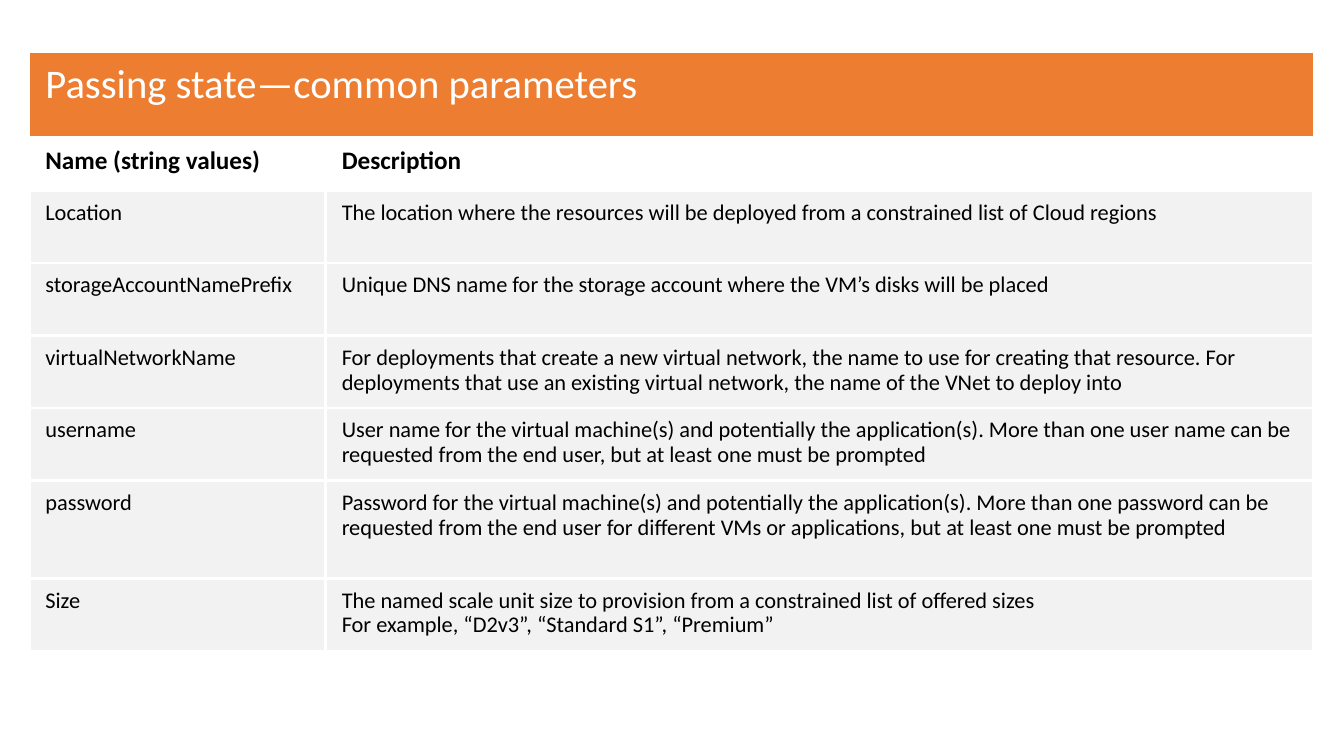
from lxml.etree import SubElement
from pptx import Presentation
from pptx.dml.color import RGBColor
from pptx.oxml.ns import qn
from pptx.util import Inches, Pt

TITLE = "Passing state—common parameters"
HEADINGS = ("Name (string values)", "Description")
PARAMETERS = [
    ("Location",
     "The location where the resources will be deployed from a constrained list of Cloud regions"),
    ("storageAccountNamePrefix",
     "Unique DNS name for the storage account where the VM’s disks will be placed"),
    ("virtualNetworkName",
     "For deployments that create a new virtual network, the name to use for creating that resource. "
     "For deployments that use an existing virtual network, the name of the VNet to deploy into"),
    ("username",
     "User name for the virtual machine(s) and potentially the application(s). More than one user "
     "name can be requested from the end user, but at least one must be prompted"),
    ("password",
     "Password for the virtual machine(s) and potentially the application(s). More than one "
     "password can be requested from the end user for different VMs or applications, "
     "but at least one must be prompted"),
    ("Size",
     "The named scale unit size to provision from a constrained list of offered sizes\n"
     "For example, “D2v3”, “Standard S1”, “Premium”"),
]

COLORS = {"orange": "ED7D31", "grey": "F2F2F2", "white": "FFFFFF", "black": "000000"}
COLUMN_WIDTHS = (2.94, 6.67, 3.13)
ROW_HEIGHTS = (0.84, 0.53, 0.72, 0.72, 0.72, 0.72, 0.97, 0.72)
MARGINS = {"margin_left": 0.16, "margin_right": 0.16, "margin_top": 0.1, "margin_bottom": 0.1}
TITLE_FORMAT = {"size": Pt(29), "bold": False}
HEADING_FORMAT = {"size": Pt(18), "bold": True}
BODY_FORMAT = {"size": Pt(16), "bold": False}


def color(name):
    return RGBColor.from_string(COLORS[name])


def add_borders(cell, width):
    properties = cell._tc.get_or_add_tcPr()
    for position, side in enumerate(("lnL", "lnR", "lnT", "lnB")):
        line = SubElement(properties, qn(f"a:{side}"), w=str(Pt(width)))
        fill = SubElement(line, qn("a:solidFill"))
        SubElement(fill, qn("a:srgbClr"), val=COLORS["white"])
        properties.insert(position, line)


def format_cell(cell, fill, text="", font_format=BODY_FORMAT, font_color="black"):
    cell.fill.solid()
    cell.fill.fore_color.rgb = color(fill)
    for name, inches in MARGINS.items():
        setattr(cell, name, Inches(inches))
    cell.text = text
    for paragraph in cell.text_frame.paragraphs:
        paragraph.line_spacing = 0.9
        paragraph.font.name = "Calibri"
        paragraph.font.color.rgb = color(font_color)
        for run in paragraph.runs:
            run.font.name = "Calibri"
            run.font.color.rgb = color(font_color)
            for name, value in font_format.items():
                setattr(run.font, name, value)


def main():
    presentation = Presentation()
    presentation.slide_width = Inches(13.33)
    presentation.slide_height = Inches(7.5)
    slide = presentation.slides.add_slide(presentation.slide_layouts[6])

    table = slide.shapes.add_table(
        len(ROW_HEIGHTS), len(COLUMN_WIDTHS), Inches(0.29), Inches(0.52),
        Inches(sum(COLUMN_WIDTHS)), Inches(sum(ROW_HEIGHTS))).table
    table.first_row = table.horz_banding = False
    for column, width in zip(table.columns, COLUMN_WIDTHS):
        column.width = Inches(width)
    for row, height in zip(table.rows, ROW_HEIGHTS):
        row.height = Inches(height)

    title_cell = table.cell(0, 0)
    title_cell.merge(table.cell(0, 2))
    format_cell(title_cell, "orange", TITLE, TITLE_FORMAT, "white")
    add_borders(title_cell, 1)

    for column, heading in enumerate((*HEADINGS, "")):
        format_cell(table.cell(1, column), "white", heading, HEADING_FORMAT)

    for row, texts in enumerate(PARAMETERS, start=2):
        table.cell(row, 1).merge(table.cell(row, 2))
        for column, text in enumerate(texts):
            cell = table.cell(row, column)
            format_cell(cell, "grey", text)
            add_borders(cell, 2.25)

    presentation.save("out.pptx")


if __name__ == "__main__":
    main()
